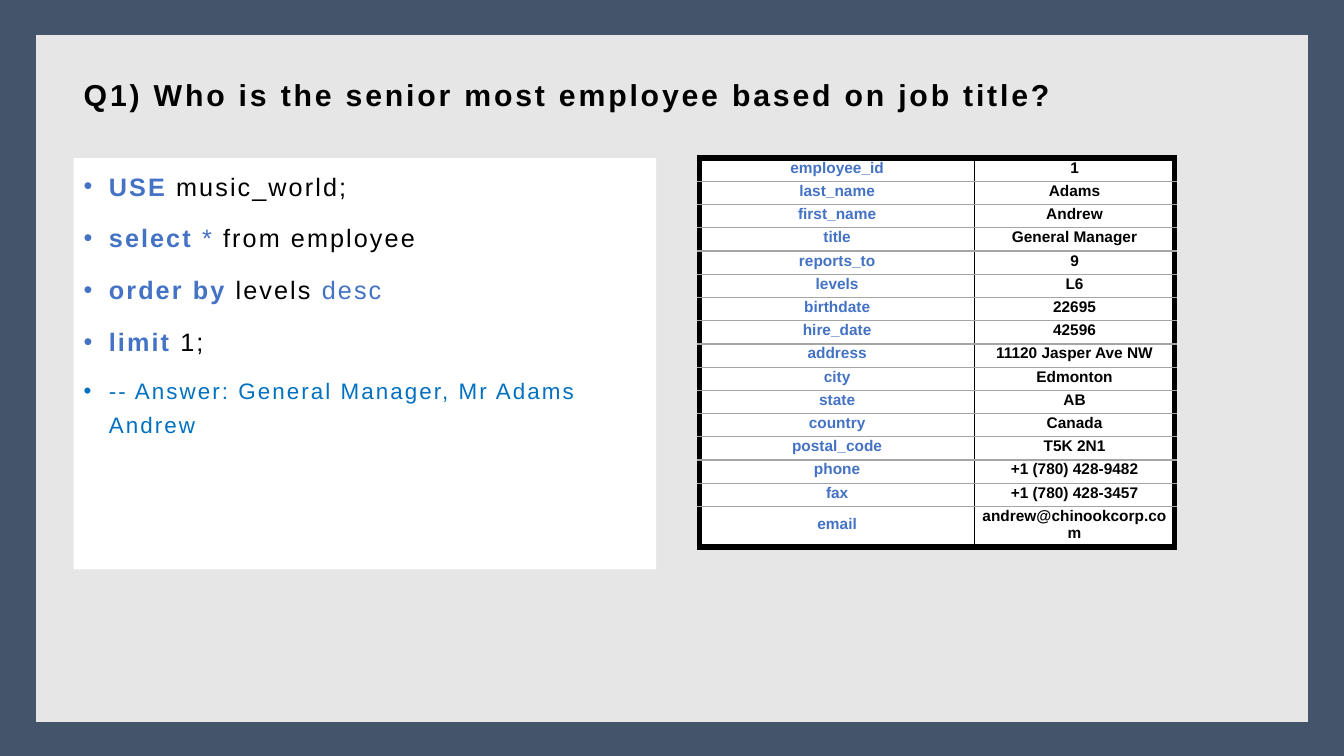
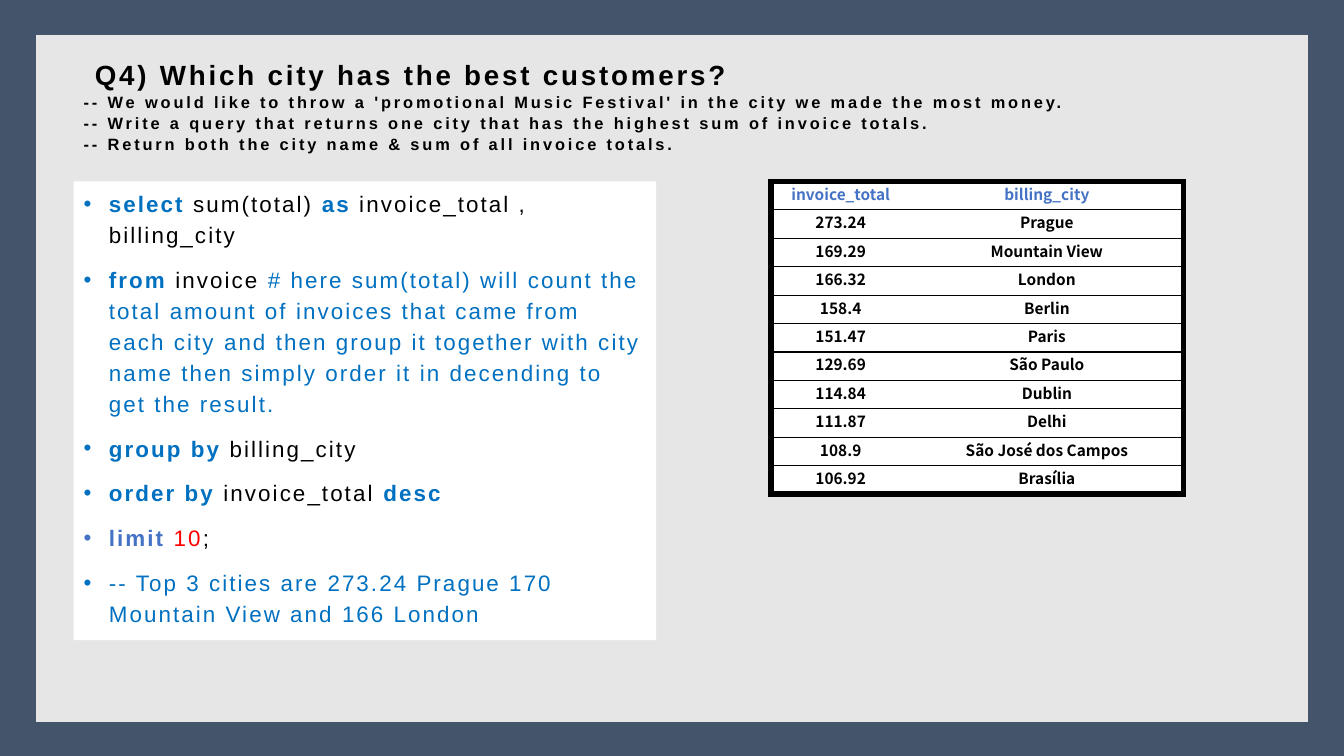
import pptx
import pptx.dml.color
import pptx.enum.shapes
import pptx.enum.text
import pptx.oxml
import pptx.oxml.ns
import pptx.util

Pt = pptx.util.Pt
Inches = pptx.util.Inches
NAVY, PALE, WHITE, BLACK = "44546A", "E7E6E6", "FFFFFF", "000000"
BLUE, SKY, RED, GRAY = "4472C4", "0070C0", "FF0000", "A5A5A5"
EDGE, THIN = 4.5, 1  # table line widths in points


def rgb(code):
    return pptx.dml.color.RGBColor.from_string(code)


class Deck:
    """Holds the style and the current slide; places are percent of the slide."""

    font = "Arial"
    left = 5.48

    def __init__(self):
        self.prs = pptx.Presentation()
        self.prs.slide_width = Inches(13.33)
        self.prs.slide_height = Inches(7.5)
        self.slide = None

    def x(self, share):
        return round(self.prs.slide_width * share / 100)

    def y(self, share):
        return round(self.prs.slide_height * share / 100)

    def box(self, x, y, w, h):
        return self.x(x), self.y(y), self.x(w), self.y(h)

    def page(self):
        first = self.slide is None
        self.slide = self.prs.slides.add_slide(self.prs.slide_layouts[1])
        if first:
            self.frame()

    def frame(self):
        """Put the dark ground and the pale panel on the master."""
        master = self.prs.slide_master
        master.background.fill.solid()
        master.background.fill.fore_color.rgb = rgb(NAVY)
        panel = self.slide.shapes.add_shape(
            pptx.enum.shapes.MSO_SHAPE.RECTANGLE, *self.box(2.55, 4.4, 94.88, 91.33))
        panel.shadow.inherit = False
        panel.fill.solid()
        panel.fill.fore_color.rgb = rgb(PALE)
        panel.line.color.rgb = rgb(NAVY)
        panel.line.width = Pt(2)
        master.shapes[0].element.getparent().insert(2, panel.element)

    def place(self, shape, box):
        shape.left, shape.top, shape.width, shape.height = self.box(*box)
        frame = shape.text_frame
        frame.word_wrap = True
        frame.auto_size = pptx.enum.text.MSO_AUTO_SIZE.NONE
        frame.vertical_anchor = pptx.enum.text.MSO_ANCHOR.TOP
        return frame

    def ink(self, run, size, color, bold, gap=0, font=None):
        face = run.font
        face.name = font or self.font
        face.size = Pt(size)
        face.bold = bold
        face.color.rgb = rgb(color)
        if gap:
            run._r.get_or_add_rPr().set("spc", str(round(gap * 100)))

    def para(self, para, pace, after=0, margin=0, indent=0):
        para.alignment = pptx.enum.text.PP_ALIGN.LEFT
        para.line_spacing = pace
        para.space_before = Pt(0)
        para.space_after = Pt(after)
        props = para._p.get_or_add_pPr()
        props.set("marL", str(Inches(margin)))
        props.set("indent", str(Inches(indent)))

    def title(self, top, lines, size, margin=0):
        """First line is the question, the rest are small notes."""
        frame = self.place(self.slide.shapes.title, (self.left, top, 89.03, 6.4))
        frame.margin_top = Inches(0.09)
        frame.text = "\n".join(lines)
        for i, para in enumerate(frame.paragraphs):
            self.para(para, 1.07 if i else 1.0, margin=0 if i else margin)
            self.ink(para.runs[0], 11.7 if i else size, BLACK, True, 2)

    def query(self, top, high, pace, items):
        """Each item is a size and its runs: text, colour, bold."""
        shape = self.slide.placeholders[1]
        frame = self.place(shape, (self.left, top, 43.35, high))
        shape.fill.solid()
        shape.fill.fore_color.rgb = rgb(WHITE)
        for i, (size, parts) in enumerate(items):
            para = frame.add_paragraph() if i else frame.paragraphs[0]
            self.para(para, pace, 10, 0.25, -0.25)
            for text, color, bold in parts:
                run = para.add_run()
                run.text = text
                self.ink(run, size, color, bold, 1.5)

    def border(self, cell, sides):
        """Sides are colour and width, or None, in the order L, R, T, B."""
        props = cell._tc.get_or_add_tcPr()
        for i, (name, side) in enumerate(zip("LRTB", sides)):
            fill, width = "<a:noFill/>", 0
            if side:
                color, width = side
                fill = f'<a:solidFill><a:srgbClr val="{color}"/></a:solidFill>'
            props.insert(i, pptx.oxml.parse_xml(
                f'<a:ln{name} {pptx.oxml.ns.nsdecls("a")} w="{Pt(width)}">{fill}</a:ln{name}>'))

    def table(self, x, y, cols, high, rows, hue, rule, split, font=None):
        """hue gives the text colour of a cell from its row and column."""
        grid = self.slide.shapes.add_table(
            len(rows), len(cols), *self.box(x, y, sum(cols), high * len(rows))).table
        for col, wide in zip(grid.columns, cols):
            col.width = self.x(wide)
        edge, rule = (BLACK, EDGE), (rule, THIN)
        for r, row in enumerate(rows):
            grid.rows[r].height = self.y(high)
            for c, text in enumerate(row):
                cell = grid.cell(r, c)
                cell.fill.solid()
                cell.fill.fore_color.rgb = rgb(WHITE)
                cell.vertical_anchor = pptx.enum.text.MSO_ANCHOR.MIDDLE
                cell.margin_left = cell.margin_right = cell.margin_top = Inches(0.01)
                cell.margin_bottom = Inches(0.05)
                cell.text = text
                para = cell.text_frame.paragraphs[0]
                para.alignment = pptx.enum.text.PP_ALIGN.CENTER
                self.ink(para.runs[0], 11, hue(r, c), True, font=font)
                self.border(cell, (
                    split if c else edge,
                    edge if c == len(cols) - 1 else split,
                    rule if r else edge,
                    edge if r == len(rows) - 1 else rule))


def senior(deck):
    deck.page()
    deck.title(8.93, ["Q1) Who is the senior most employee based on job title?"], 21.6)
    deck.query(20.93, 54.4, 1.25, [
        (18, [("USE", BLUE, True), (" music_world;", BLACK, False)]),
        (18, [("select ", BLUE, True), ("*", BLUE, False), (" from employee", BLACK, False)]),
        (18, [("order by", BLUE, True), (" levels ", BLACK, False), ("desc", BLUE, False)]),
        (18, [("limit", BLUE, True), (" 1;", BLACK, False)]),
        (16, [("-- Answer: General Manager, Mr Adams Andrew", SKY, False)]),
    ])
    staff = [
        ("employee_id", "1"), ("last_name", "Adams"), ("first_name", "Andrew"),
        ("title", "General Manager"), ("reports_to", "9"), ("levels", "L6"),
        ("birthdate", "22695"), ("hire_date", "42596"),
        ("address", "11120 Jasper Ave NW"), ("city", "Edmonton"), ("state", "AB"),
        ("country", "Canada"), ("postal_code", "T5K 2N1"),
        ("phone", "+1 (780) 428-9482"), ("fax", "+1 (780) 428-3457"),
        ("email", "andrew@chinookcorp.com"),
    ]
    deck.table(52.05, 20.93, (20.48, 14.85), 3.07, staff,
               lambda r, c: BLACK if c else BLUE, GRAY, (BLACK, THIN))


def cities(deck):
    deck.page()
    deck.title(6.4, [
        "Q4) Which city has the best customers?",
        "-- We would like to throw a 'promotional Music Festival' in the city we made the most money.",
        "-- Write a query that returns one city that has the highest sum of invoice totals.",
        "-- Return both the city name & sum of all invoice totals.",
    ], 19.8, margin=0.11)
    lines = [
        [("select", SKY, True), (" sum(total) ", BLACK, False), ("as", SKY, True),
         (" invoice_total , billing_city", BLACK, False)],
        [("from", SKY, True), (" invoice", BLACK, False),
         (" # here sum(total) will count the total amount of invoices that came from each "
          "city and then group it together with city name then simply order it in "
          "decending to get the result.", SKY, False)],
        [("group by", SKY, True), (" billing_city", BLACK, False)],
        [("order by", SKY, True), (" invoice_total ", BLACK, False), ("desc", SKY, True)],
        [("limit ", BLUE, True), ("10", RED, False), (";", BLACK, False)],
        [("-- Top 3 cities are 273.24 Prague 170 Mountain View and 166 London", SKY, False)],
    ]
    deck.query(24, 60.67, 1.15, [(16, parts) for parts in lines])
    sums = [
        ("invoice_total", "billing_city"), ("273.24", "Prague"),
        ("169.29", "Mountain View"), ("166.32", "London"), ("158.4", "Berlin"),
        ("151.47", "Paris"), ("129.69", "São Paulo"), ("114.84", "Dublin"),
        ("111.87", "Delhi"), ("108.9", "São José dos Campos"), ("106.92", "Brasília"),
    ]
    deck.table(57.38, 24, (10.35, 20.33), 3.75, sums,
               lambda r, c: BLACK if r else BLUE, BLACK, None, "Noto Sans CJK SC")


def main():
    deck = Deck()
    senior(deck)
    cities(deck)
    deck.prs.save("out.pptx")


if __name__ == "__main__":
    main()
